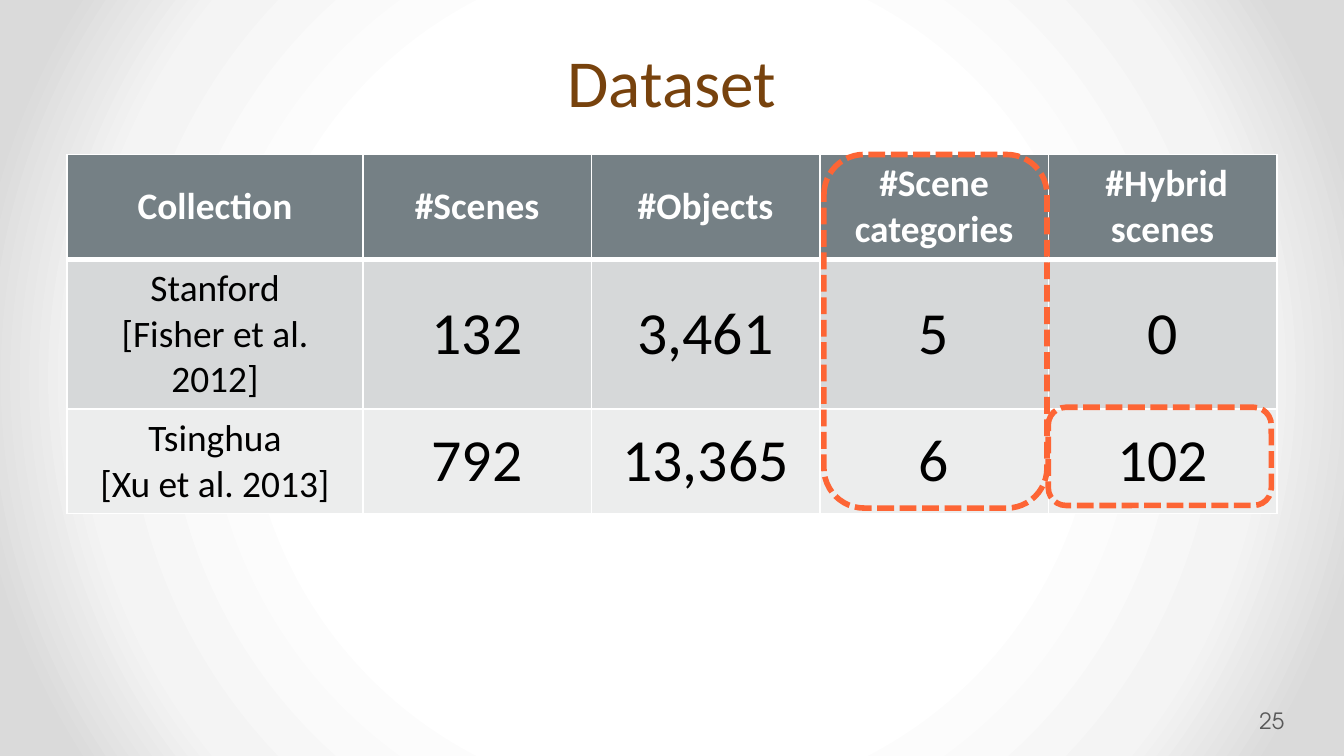
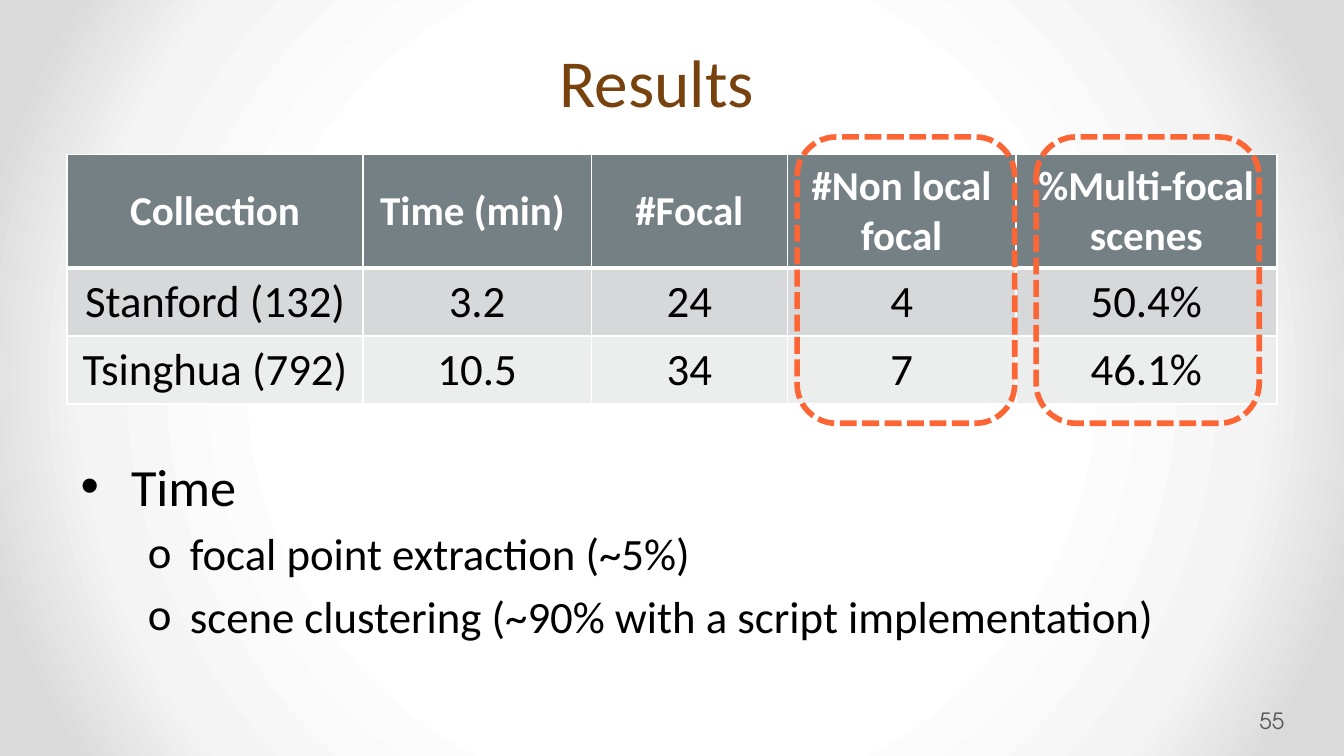
from lxml.etree import SubElement
from pptx import Presentation
from pptx.dml.color import RGBColor
from pptx.enum.dml import MSO_LINE
from pptx.enum.shapes import MSO_SHAPE
from pptx.enum.text import MSO_ANCHOR, MSO_AUTO_SIZE, PP_ALIGN
from pptx.oxml import parse_xml
from pptx.oxml.ns import nsdecls, qn
from pptx.util import Pt

FONT = "Calibri"
PAGE_FONT = "TeX Gyre Adventor"
BROWN, GRAY, ORANGE = "77420D", "595959", "FD6535"
WHITE, BLACK = "FFFFFF", "000000"
HEAD_FILL = "758085"
ROW_FILLS = ["D6D8D9", "ECEDED"]
GLOW = [(50, "FFFFFF"), (76, "F4F4F4"), (92, "DADADA")]
LEFT, TOP, WIDTH = 36, 82.8, 648


def rgb(color):
    return RGBColor.from_string(color)


def style(para, size, color, name=FONT, bold=False):
    for run in para.runs:
        font = run.font
        font.name, font.size, font.bold = name, Pt(size), bold
        font.color.rgb = rgb(color)


def place(shape, left, top, width, height):
    shape.left, shape.top = Pt(left), Pt(top)
    shape.width, shape.height = Pt(width), Pt(height)


def set_glow(master):
    """Give every slide the round white-to-gray background."""
    master.background.fill.gradient()
    grad = master.element.find(".//" + qn("a:gradFill"))
    for child in list(grad):
        grad.remove(child)
    stops = SubElement(grad, qn("a:gsLst"))
    for pos, color in GLOW:
        stop = SubElement(stops, qn("a:gs"), pos=str(pos * 1000))
        SubElement(stop, qn("a:srgbClr"), val=color)
    ring = SubElement(grad, qn("a:path"), path="circle")
    SubElement(ring, qn("a:fillToRect"), dict.fromkeys("ltrb", "50000"))


def add_slide(prs, layout, title, page, shift=0):
    """Add a slide with title and page number; shift widens the title's right inset."""
    slide = prs.slides.add_slide(prs.slide_layouts[layout])
    shape = slide.shapes.title
    place(shape, LEFT, 1.4, WIDTH, 67)
    frame = shape.text_frame
    frame.text = title
    frame.auto_size = MSO_AUTO_SIZE.NONE
    frame.vertical_anchor = MSO_ANCHOR.BOTTOM
    frame.margin_right = Pt(7.2 + shift)
    para = frame.paragraphs[0]
    para.alignment = PP_ALIGN.CENTER
    para.line_spacing = Pt(58)
    style(para, 36, BROWN)
    add_page(slide, page)
    return slide


def add_page(slide, page):
    box = slide.shapes.add_textbox(Pt(672.5), Pt(375), Pt(44), Pt(21.6))
    frame = box.text_frame
    frame.word_wrap = True
    frame.vertical_anchor = MSO_ANCHOR.MIDDLE
    frame.margin_left, frame.margin_right = Pt(2.2), Pt(3.6)
    frame.text = str(page)
    style(frame.paragraphs[0], 12, GRAY, PAGE_FONT)


def set_edges(cell, base):
    """Draw white cell borders, the bottom one base points wide."""
    props = cell._tc.get_or_add_tcPr()
    widths = {"lnL": 1, "lnR": 1, "lnT": 1, "lnB": base}
    for pos, (tag, width) in enumerate(widths.items()):
        props.insert(pos, parse_xml(
            f'<a:{tag} {nsdecls("a")} w="{Pt(width)}"><a:solidFill>'
            f'<a:srgbClr val="{WHITE}"/></a:solidFill></a:{tag}>'))


def fill_cell(cell, text, size, color, fill, bold):
    cell.text_frame.text = text
    cell.vertical_anchor = MSO_ANCHOR.MIDDLE
    for para in cell.text_frame.paragraphs:
        para.alignment = PP_ALIGN.CENTER
        style(para, size, color, bold=bold)
    cell.fill.solid()
    cell.fill.fore_color.rgb = rgb(fill)


def add_grid(slide, rows, widths, heights, sizes):
    """Add a table; sizes are those of the header, the labels and the values."""
    frame = slide.shapes.add_table(len(rows), len(widths), Pt(LEFT), Pt(TOP),
                                   Pt(WIDTH), Pt(sum(heights)))
    table = frame.table
    for col, width in zip(table.columns, widths):
        col.width = Pt(width)
    head, label, value = sizes
    for r, (row, height) in enumerate(zip(rows, heights)):
        table.rows[r].height = Pt(height)
        for c, text in enumerate(row):
            cell = table.cell(r, c)
            if r == 0:
                fill_cell(cell, text, head, WHITE, HEAD_FILL, True)
            else:
                size = value if c else label
                fill_cell(cell, text, size, BLACK, ROW_FILLS[(r - 1) % 2], False)
            set_edges(cell, 1 if r else 3)


def add_mark(slide, left, top, width, height):
    """Frame a part of the table with a dashed round rectangle."""
    mark = slide.shapes.add_shape(MSO_SHAPE.ROUNDED_RECTANGLE, Pt(left), Pt(top),
                                  Pt(width), Pt(height))
    mark.adjustments[0] = 0.18
    mark.shadow.inherit = False
    mark.fill.background()
    mark.line.color.rgb = rgb(ORANGE)
    mark.line.width = Pt(3)
    mark.line.dash_style = MSO_LINE.SQUARE_DOT


def add_list(slide, items, top, height):
    """Fill the body with (level, text) items."""
    body = slide.placeholders[1]
    place(body, LEFT, top, WIDTH, height)
    frame = body.text_frame
    frame.text = "\n".join(text for _, text in items)
    frame.auto_size = MSO_AUTO_SIZE.NONE
    looks = [("•", "Arial", 27, 27, 28), ("o", FONT, 58.5, 22.5, 24)]
    for n, (para, (level, _)) in enumerate(zip(frame.paragraphs, items)):
        sign, face, margin, hang, size = looks[level]
        para.level = level
        para.space_before = Pt(4.8 if n else 0)
        props = para._p.get_or_add_pPr()
        props.set("marL", str(Pt(margin)))
        props.set("indent", str(-Pt(hang)))
        SubElement(props, qn("a:buFont"), typeface=face)
        SubElement(props, qn("a:buChar"), char=sign)
        style(para, size, BLACK)


def main():
    prs = Presentation()
    prs.slide_width, prs.slide_height = Pt(720), Pt(405)
    set_glow(prs.slide_master)

    data = add_slide(prs, 5, "Dataset", 25)
    add_grid(data, [
        ["Collection", "#Scenes", "#Objects", "#Scene categories", " #Hybrid scenes"],
        ["Stanford\n[Fisher et al. 2012]", "132", "3,461", "5", "0"],
        ["Tsinghua\n[Xu et al. 2013]", "792", "13,365", "6", "102"],
    ], [158.4] + [122.4] * 4, [56, 80.4, 56], (20, 20, 32))
    add_mark(data, 441.4, TOP, 119.5, 189.4)
    add_mark(data, 561.6, 218.2, 119.5, 52.6)

    result = add_slide(prs, 1, "Results", 55, shift=16.4)
    add_list(result, [
        (0, "Time"),
        (1, "focal point extraction (~5%)"),
        (1, "scene clustering (~90% with a script implementation)"),
    ], 239.8, 127)
    add_grid(result, [
        ["Collection", "Time (min) ", "#Focal", "#Non local focal", "%Multi-focal scenes"],
        ["Stanford (132)", "3.2", "24", "4", "50.4%"],
        ["Tsinghua (792)", "10.5", "34", "7", "46.1%"],
    ], [158.4, 122.4, 105, 122.4, 139.8], [60.8, 36.5, 36.5], (22, 24, 24))
    for left, width in [(555.1, 119.5), (427, 116.6)]:
        add_mark(result, left, 73.4, width, 153.4)

    prs.save("out.pptx")


if __name__ == "__main__":
    main()
